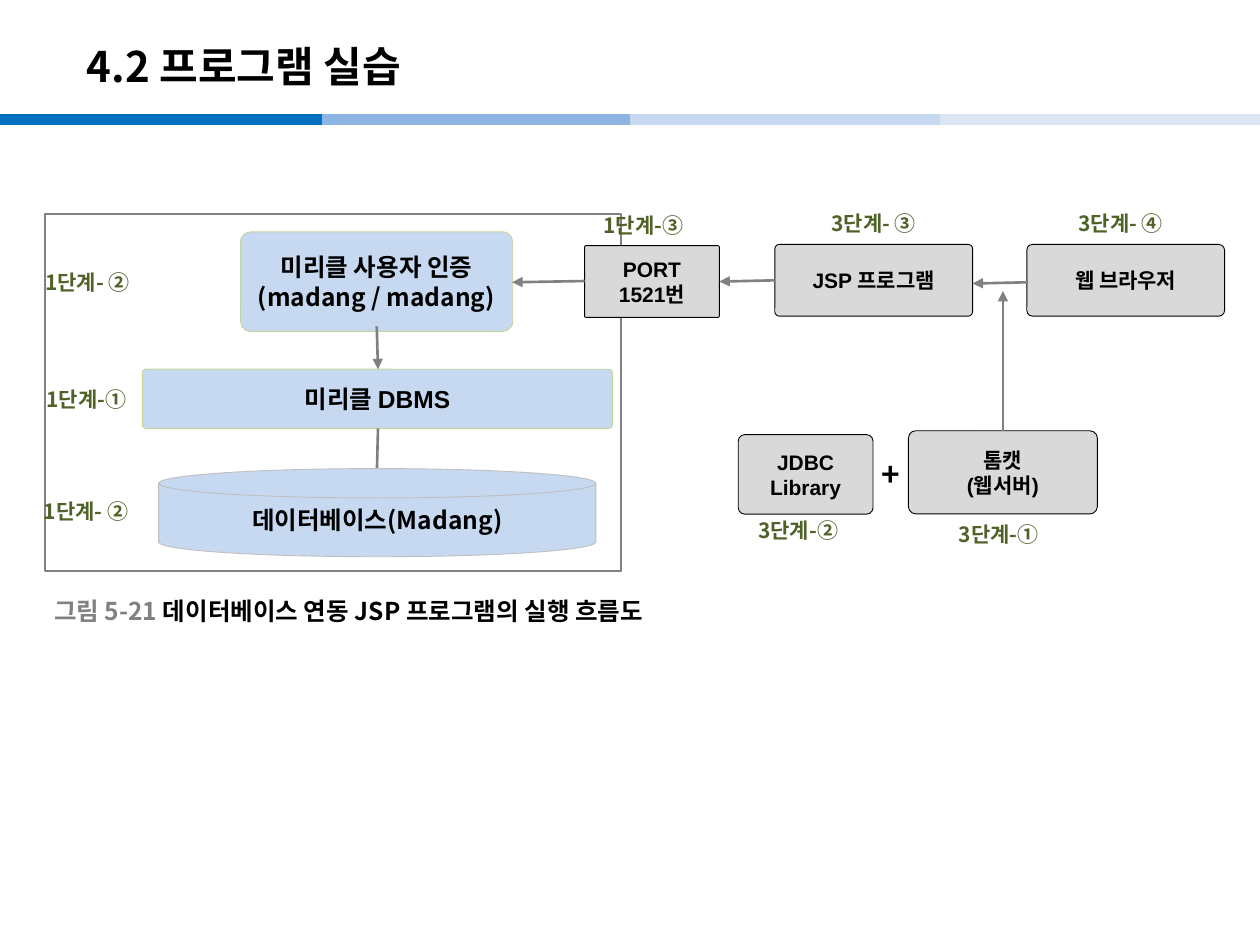
from dataclasses import dataclass

from lxml import etree
from pptx import Presentation
from pptx.dml.color import RGBColor
from pptx.enum.shapes import MSO_CONNECTOR, MSO_SHAPE
from pptx.enum.text import MSO_ANCHOR, PP_ALIGN
from pptx.oxml.ns import qn
from pptx.slide import Slide
from pptx.text.text import Font
from pptx.util import Pt

RECTANGLE = MSO_SHAPE.RECTANGLE
ROUNDED = MSO_SHAPE.ROUNDED_RECTANGLE
DISK = MSO_SHAPE.FLOWCHART_MAGNETIC_DISK
STRAIGHT = MSO_CONNECTOR.STRAIGHT
TOP, MIDDLE = MSO_ANCHOR.TOP, MSO_ANCHOR.MIDDLE
LEFT, CENTER = PP_ALIGN.LEFT, PP_ALIGN.CENTER
ARIAL, NOTO = "Arial", "Noto Sans CJK KR"
COLORS = {
    "white": "FFFFFF", "black": "000000", "gray": "808080", "silver": "BFBFBF",
    "light_gray": "D9D9D9", "sky": "C6D9F1", "lime": "C3D69B", "olive": "4F6228",
    "bar_1": "0070C0", "bar_2": "8EB4E3", "bar_3": "C6D9F1", "bar_4": "DCE6F2",
}


@dataclass
class Box:
    left: float
    top: float
    width: float
    height: float
    lines: tuple[str, ...] = ()
    size: float = 12
    fonts: tuple[str, ...] = (ARIAL, ARIAL)
    fill: str = "light_gray"
    border: str = "black"
    weight: float = 0.5
    shape: MSO_SHAPE = ROUNDED
    corner: float = 0.08


@dataclass
class Line:
    start: tuple[float, float]
    end: tuple[float, float]
    arrow: bool = True
    color: str = "gray"
    weight: float = 1.5


@dataclass
class Label:
    left: float
    top: float
    spans: tuple[tuple[str, str], ...]
    size: float = 12
    width: float = 78.5
    height: float = 21.6
    anchor: MSO_ANCHOR = TOP


def step(left: float, top: float, text: str) -> Label:
    """Describe an olive step label."""
    return Label(left, top, ((text, "olive"),))


BARS = [Line((left, 68.4), (left + 184.3, 68.4), False, f"bar_{number}", 6)
        for number, left in enumerate((0, 184.3, 360, 537.1), 1)]
FRAME = Box(25.9, 122.4, 329, 203.8, fill="white", border="gray", weight=1, shape=RECTANGLE)
BOXES = [
    Box(81.4, 211, 268.6, 33.8, ("미리클 DBMS",), 14, fill="sky", border="lime", corner=0.06),
    Box(334.1, 140.4, 77, 41, ("PORT", "1521번"), corner=0.02),
    Box(519.1, 246.2, 108, 47.5, ("톰캣", "(웹서버)"), corner=0.09),
    Box(421.9, 248.4, 77, 45.4, ("JDBC", "Library")),
    Box(137.5, 132.5, 155.5, 56.9, ("미리클 사용자 인증", "(madang / madang)"), 14,
        (ARIAL, NOTO), "sky", "lime", corner=0.1),
    Box(442.8, 139.7, 113, 41, ("JSP 프로그램",), corner=0.06),
    Box(586.8, 139.7, 113, 41, ("웹 브라우저",)),
]
LINES = [
    Line((216, 244.8), (215.3, 272.2), False),
    Line((215.3, 186.5), (216, 211)),
    Line((334.1, 160.6), (292.7, 161.3)),
    Line((442.8, 160.2), (411.1, 160.9)),
    Line((587.5, 161.3), (555.8, 162)),
    Line((573.1, 246.2), (573.1, 166.3)),
]
DATABASE = Box(90.7, 267.8, 249.8, 50.4, ("데이터베이스(Madang)",), 14, (NOTO,), "sky", "silver", shape=DISK)
LABELS = [
    Label(42.5, 15.8, (("4.2 프로그램 실습", "black"),), 24, 595.4, 43.2, MIDDLE),
    Label(496.8, 256.3, (("+", "black"),), 18, 28.8, 28.8),
    step(19.4, 217.4, "1단계-①"),
    step(18.7, 150.5, "1단계- ②"),
    step(18, 281.5, "1단계- ②"),
    step(426.2, 292.3, "3단계-②"),
    step(540.7, 294.5, "3단계-①"),
    step(337.7, 118.1, "1단계-③"),
    step(468, 116.6, "3단계- ③"),
    step(609.1, 116.6, "3단계- ④"),
    Label(23.8, 337.7, (("그림 5-21 ", "gray"), ("데이터베이스 연동 JSP 프로그램의 실행 흐름도", "black")),
          14, 374, 22.3, MIDDLE),
]


def rgb(name: str) -> RGBColor:
    """Return a named colour."""
    return RGBColor.from_string(COLORS[name])


def style_paragraph(para, size: float, name: str, align: PP_ALIGN) -> Font:
    """Set bold Latin and East Asian text on a paragraph."""
    para.alignment = align
    font = para.font
    font.size, font.bold, font.name = Pt(size), True, name
    font.color.rgb = rgb("black")
    properties = para._p.pPr.find(qn("a:defRPr"))
    etree.SubElement(properties, qn("a:ea")).set("typeface", NOTO)
    return font


def draw_box(page: Slide, box: Box) -> None:
    """Draw a filled shape with centred lines of text."""
    shape = page.shapes.add_shape(box.shape, Pt(box.left), Pt(box.top), Pt(box.width), Pt(box.height))
    shape.shadow.inherit = False
    shape.fill.solid()
    shape.fill.fore_color.rgb = rgb(box.fill)
    shape.line.color.rgb = rgb(box.border)
    shape.line.width = Pt(box.weight)
    if box.shape == ROUNDED:
        shape.adjustments[0] = box.corner
    frame = shape.text_frame
    frame.word_wrap = True
    frame.vertical_anchor = MIDDLE
    for index, (text, name) in enumerate(zip(box.lines, box.fonts)):
        para = frame.add_paragraph() if index else frame.paragraphs[0]
        para.text = text
        style_paragraph(para, box.size, name, CENTER)


def draw_line(page: Slide, line: Line) -> None:
    """Draw a straight line, with an arrowhead where wanted."""
    connector = page.shapes.add_connector(STRAIGHT, *map(Pt, line.start + line.end))
    connector.line.color.rgb = rgb(line.color)
    connector.line.width = Pt(line.weight)
    if line.arrow:
        etree.SubElement(connector.line._get_or_add_ln(), qn("a:tailEnd")).set("type", "triangle")
    etree.SubElement(connector._element.spPr, qn("a:effectLst"))


def draw_label(page: Slide, label: Label) -> None:
    """Draw a text box of one paragraph."""
    box = page.shapes.add_textbox(Pt(label.left), Pt(label.top), Pt(label.width), Pt(label.height))
    frame = box.text_frame
    frame.word_wrap = True
    frame.vertical_anchor = label.anchor
    para = frame.paragraphs[0]
    font = style_paragraph(para, label.size, NOTO, LEFT)
    font.color.rgb = rgb(label.spans[0][1])
    for text, color in label.spans:
        span = para.add_run()
        span.text = text
        if len(label.spans) > 1:
            span.font.color.rgb = rgb(color)


def main() -> None:
    """Build the slide and save it."""
    deck = Presentation()
    deck.slide_width, deck.slide_height = Pt(720), Pt(540)
    page = deck.slides.add_slide(deck.slide_layouts[6])
    for bar in BARS:
        draw_line(page, bar)
    for box in [FRAME, *BOXES]:
        draw_box(page, box)
    for line in LINES:
        draw_line(page, line)
    draw_box(page, DATABASE)
    for label in LABELS:
        draw_label(page, label)
    deck.save("out.pptx")


if __name__ == "__main__":
    main()
